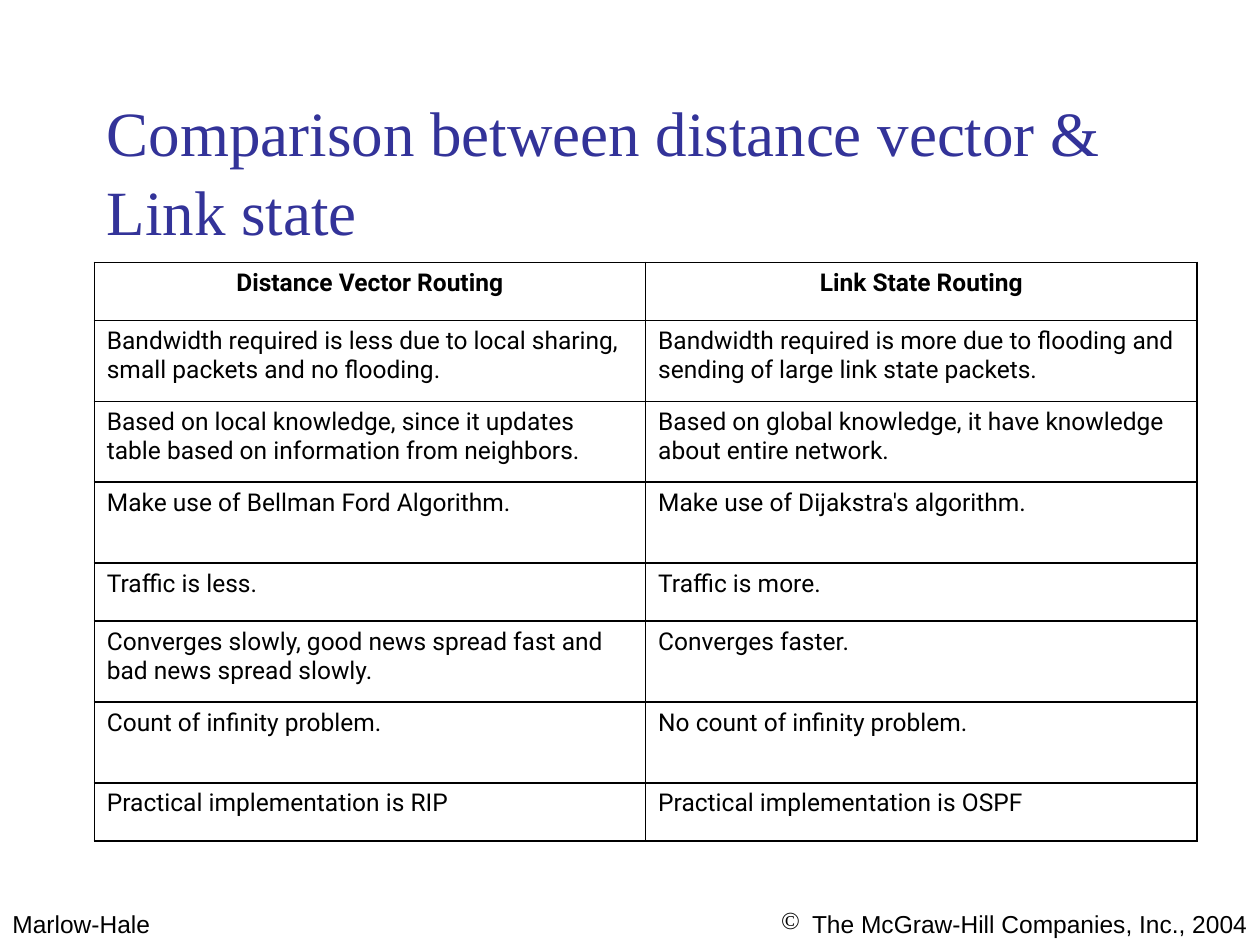
from dataclasses import dataclass

from lxml import etree
from pptx import Presentation
from pptx.dml.color import RGBColor
from pptx.enum.text import MSO_ANCHOR, PP_ALIGN
from pptx.oxml.ns import qn
from pptx.util import Cm, Pt

LEFT, CENTER, RIGHT = PP_ALIGN.LEFT, PP_ALIGN.CENTER, PP_ALIGN.RIGHT
TOP = MSO_ANCHOR.TOP
TITLE_ONLY = 5


@dataclass(frozen=True)
class Theme:
    ink: RGBColor = RGBColor(0x00, 0x00, 0x00)
    heading: RGBColor = RGBColor(0x33, 0x33, 0x99)
    border: str = "000000"
    border_width: int = Pt(1)
    title_font: str = "Times New Roman"
    table_font: str = "Roboto"
    footer_font: str = "Arial"
    title_size: int = Pt(36)
    body_size: int = Pt(14)


THEME = Theme()

COMPARISON = [
    ("Distance Vector Routing", "Link State Routing"),
    ("Bandwidth required is less due to local sharing, small packets and no flooding.",
     "Bandwidth required is more due to flooding and sending of large link state packets."),
    ("Based on local knowledge, since it updates table based on information from neighbors.",
     "Based on global knowledge, it have knowledge about entire network."),
    ("Make use of Bellman Ford Algorithm.", "Make use of Dijakstra's algorithm."),
    ("Traffic is less.", "Traffic is more."),
    ("Converges slowly, good news spread fast and bad news spread slowly.",
     "Converges faster."),
    ("Count of infinity problem.", "No count of infinity problem."),
    ("Practical implementation is RIP", "Practical implementation is OSPF"),
]
SHORT_ROWS = {0, 4, 7}
SHORT_HEIGHT, TALL_HEIGHT = Cm(1.17), Cm(1.63)


def style(paragraph, font_name, size, color, align=LEFT, bold=False):
    paragraph.alignment = align
    font = paragraph.font
    font.name, font.size, font.bold = font_name, size, bold
    font.color.rgb = color


def add_title(slide, text, left, top, width, height):
    title = slide.shapes.title
    title.left, title.top, title.width, title.height = left, top, width, height
    frame = title.text_frame
    frame.text = text
    frame.word_wrap = True
    frame.vertical_anchor = TOP
    heading = frame.paragraphs[0]
    heading.line_spacing = 1.04
    style(heading, THEME.title_font, THEME.title_size, THEME.heading)


def add_borders(cell):
    properties = cell._tc.get_or_add_tcPr()
    # Border lines come before the fill in the cell properties
    for position, side in enumerate(("lnL", "lnR", "lnT", "lnB")):
        line = etree.Element(qn(f"a:{side}"), w=str(THEME.border_width))
        fill = etree.SubElement(line, qn("a:solidFill"))
        etree.SubElement(fill, qn("a:srgbClr"), val=THEME.border)
        properties.insert(position, line)


def add_comparison(slide, rows, left, top, width):
    heights = [SHORT_HEIGHT if i in SHORT_ROWS else TALL_HEIGHT
               for i in range(len(rows))]
    columns = len(rows[0])
    table = slide.shapes.add_table(
        len(rows), columns, left, top, width, sum(heights)).table
    for column in table.columns:
        column.width = width // columns
    for i, (row, height) in enumerate(zip(rows, heights)):
        table.rows[i].height = height
        is_header = i == 0
        for j, text in enumerate(row):
            cell = table.cell(i, j)
            cell.text = text
            cell.fill.background()
            add_borders(cell)
            style(cell.text_frame.paragraphs[0], THEME.table_font, THEME.body_size,
                  THEME.ink, CENTER if is_header else LEFT, is_header)


def add_footer(slide, text, left, top, width, height, align=LEFT, bullet=None):
    frame = slide.shapes.add_textbox(left, top, width, height).text_frame
    frame.word_wrap = True
    frame.text = text
    paragraph = frame.paragraphs[0]
    if bullet:
        properties = paragraph._p.get_or_add_pPr()
        properties.set("marL", str(Cm(0.63)))
        properties.set("indent", str(-Cm(0.63)))
        etree.SubElement(properties, qn("a:buChar"), char=bullet)
    style(paragraph, THEME.footer_font, THEME.body_size, THEME.ink, align)


def main():
    deck = Presentation()
    deck.slide_width, deck.slide_height = Cm(25.4), Cm(19.05)
    slide = deck.slides.add_slide(deck.slide_layouts[TITLE_ONLY])

    # Footer: publisher and copyright line, each in half of the slide
    half, footer_top, footer_height = deck.slide_width // 2, Cm(18.2), Cm(0.85)
    add_footer(slide, "Marlow-Hale", 0, footer_top, Cm(6.15), footer_height)
    add_footer(slide, "The McGraw-Hill Companies, Inc., 2004", half, footer_top,
               half, footer_height, RIGHT, "©")

    # Title and comparison table share the left edge
    left = Cm(1.9)
    add_title(slide, "Comparison between distance vector & Link state",
              left, Cm(1.7), Cm(21.6), Cm(3.18))
    add_comparison(slide, COMPARISON, left, Cm(5.29), Cm(22.23))

    deck.save("out.pptx")


if __name__ == "__main__":
    main()
